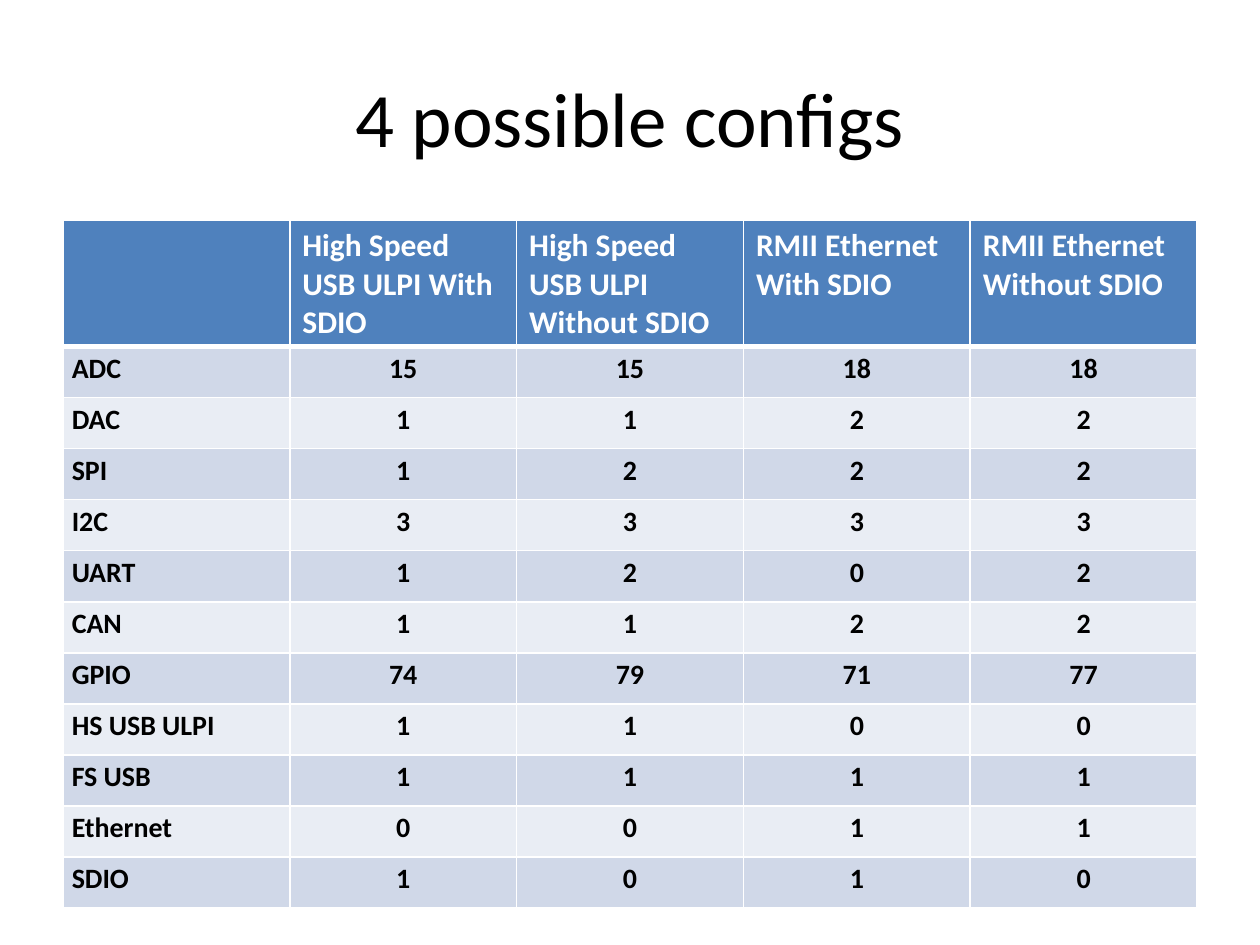
from pptx import Presentation
from pptx.dml.color import RGBColor
from pptx.enum.text import MSO_ANCHOR as ANCHOR, PP_ALIGN as ALIGN
from pptx.oxml import parse_xml
from pptx.oxml.ns import nsdecls
from pptx.util import Inches, Pt

FONT = "Calibri"
WHITE, BLACK = "FFFFFF", "000000"
HEADER_FILL = "4F81BD"
BAND_FILLS = ["D0D8E8", "E9EDF4"]
COL_W, HEADER_H, TABLE_H = 1.8, 1.0, 5.46

HEADERS = [
    "",
    "High Speed USB ULPI With SDIO",
    "High Speed USB ULPI Without SDIO",
    "RMII Ethernet With SDIO",
    "RMII Ethernet Without SDIO",
]
PERIPHERALS = [
    ("ADC", 15, 15, 18, 18),
    ("DAC", 1, 1, 2, 2),
    ("SPI", 1, 2, 2, 2),
    ("I2C", 3, 3, 3, 3),
    ("UART", 1, 2, 0, 2),
    ("CAN", 1, 1, 2, 2),
    ("GPIO", 74, 79, 71, 77),
    ("HS USB ULPI", 1, 1, 0, 0),
    ("FS USB", 1, 1, 1, 1),
    ("Ethernet", 0, 0, 1, 1),
    ("SDIO", 1, 0, 1, 0),
]


def rgb(color):
    return RGBColor.from_string(color)


def write(tf, text, size=18, color=BLACK, bold=False, align=ALIGN.LEFT, spacing=None):
    p = tf.paragraphs[0]
    p.alignment = align
    if spacing:
        p.line_spacing = spacing
    r = p.add_run()
    r.text = text
    r.font.name, r.font.size, r.font.bold = FONT, Pt(size), bold
    r.font.color.rgb = rgb(color)


def add_title(s, text):
    sp = s.shapes.add_textbox(Inches(0.5), Inches(0.3), Inches(9), Inches(1.25))
    tf = sp.text_frame
    tf.word_wrap = True
    tf.vertical_anchor = ANCHOR.MIDDLE
    write(tf, text, size=44, align=ALIGN.CENTER)


def set_borders(cell, top=1, bottom=1):
    tc_pr = cell._tc.get_or_add_tcPr()
    for side, width in (("L", 1), ("R", 1), ("T", top), ("B", bottom)):
        tc_pr.append(parse_xml(
            f'<a:ln{side} {nsdecls("a")} w="{Pt(width)}"><a:solidFill>'
            f'<a:srgbClr val="{WHITE}"/></a:solidFill></a:ln{side}>'))


def style_cell(cell, fill, **borders):
    set_borders(cell, **borders)
    cell.fill.solid()
    cell.fill.fore_color.rgb = rgb(fill)


def add_config_table(s):
    n_rows, n_cols = len(PERIPHERALS) + 1, len(HEADERS)
    table = s.shapes.add_table(n_rows, n_cols, Inches(0.5), Inches(1.75),
                               Inches(COL_W * n_cols), Inches(TABLE_H)).table
    for col in table.columns:
        col.width = Inches(COL_W)
    for row in table.rows:
        row.height = Inches((TABLE_H - HEADER_H) / len(PERIPHERALS))
    table.rows[0].height = Inches(HEADER_H)

    # Header row
    for j, text in enumerate(HEADERS):
        cell = table.cell(0, j)
        style_cell(cell, HEADER_FILL, bottom=3)
        if text:
            write(cell.text_frame, text, color=WHITE, bold=True)

    # Banded rows: name on the left, counts centred
    for i, values in enumerate(PERIPHERALS, 1):
        for j, value in enumerate(values):
            cell = table.cell(i, j)
            style_cell(cell, BAND_FILLS[(i - 1) % 2], top=3 if i == 1 else 1)
            cell.margin_left = cell.margin_right = Inches(0.07)
            cell.margin_top = cell.margin_bottom = 0
            write(cell.text_frame, str(value), size=16, bold=True, spacing=1.15,
                  align=ALIGN.CENTER if j else ALIGN.LEFT)


def main():
    prs = Presentation()
    prs.slide_width, prs.slide_height = Inches(10), Inches(7.5)
    s = prs.slides.add_slide(prs.slide_layouts[6])
    add_title(s, "4 possible configs")
    add_config_table(s)
    prs.save("out.pptx")


main()
